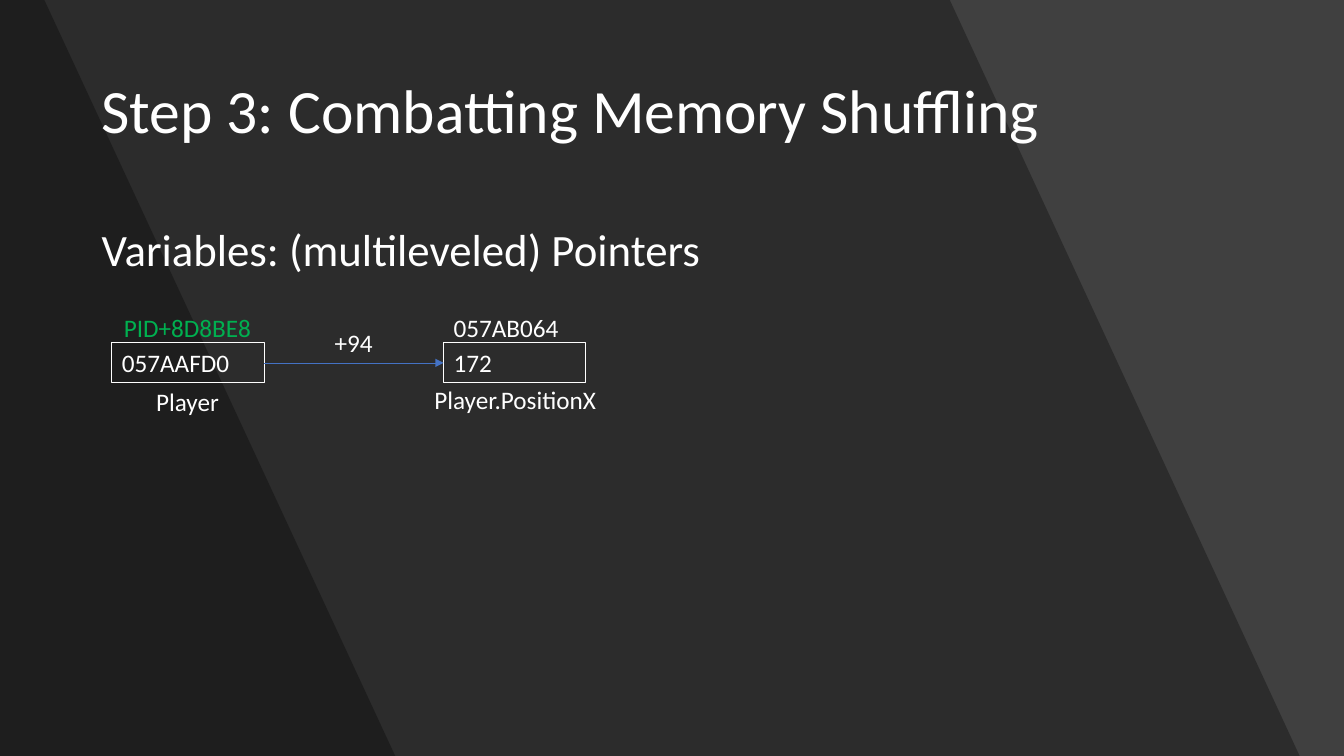
from lxml import etree
from pptx import Presentation
from pptx.dml.color import RGBColor
from pptx.enum.shapes import MSO_CONNECTOR as CONN, MSO_SHAPE as SHAPE
from pptx.enum.text import MSO_ANCHOR as ANCHOR, PP_ALIGN as ALIGN
from pptx.oxml.ns import qn
from pptx.util import Inches, Pt

COLORS = {
    "background": "404040",
    "shade": "000000",
    "text": "FFFFFF",
    "static": "00B050",
    "arrow": "4472C4",
}
FONT = "Calibri"
W, H = 13.33, 7.5


def rgb(name):
    return RGBColor.from_string(COLORS[name])


def write(shape, text, size=18, color="text", anchor=ANCHOR.TOP, wrap=True):
    """Put one left-aligned paragraph in the shape and return it."""
    tf = shape.text_frame
    tf.word_wrap = wrap
    tf.vertical_anchor = anchor
    p = tf.paragraphs[0]
    p.alignment = ALIGN.LEFT
    r = p.add_run()
    r.text = text
    r.font.size = Pt(size)
    r.font.name = FONT
    r.font.color.rgb = rgb(color)
    return p


def add_text(s, box, text, **style):
    tb = s.shapes.add_textbox(*map(Inches, box))
    return write(tb, text, **style)


def add_shade(s, top_right, bottom_right):
    """Darken the slide from its left edge to a slanted right edge."""
    corners = [(top_right, 0), (bottom_right, H), (0, H)]
    builder = s.shapes.build_freeform(0, 0)
    builder.add_line_segments([(Inches(x), Inches(y)) for x, y in corners], close=True)
    sp = builder.convert_to_shape()
    sp.shadow.inherit = False
    sp.line.fill.background()
    sp.fill.solid()
    sp.fill.fore_color.rgb = rgb("shade")
    color = sp.fill._xPr.find(qn("a:solidFill"))[0]
    etree.SubElement(color, qn("a:alpha"), val="30000")


def add_background(s):
    s.background.fill.solid()
    s.background.fill.fore_color.rgb = rgb("background")
    add_shade(s, 9.42, 12.89)
    add_shade(s, 0.44, 3.92)


def add_headings(s, left, top, width):
    title = add_text(s, (left, top, width, 1.45), "Step 3: Combatting Memory Shuffling",
                     size=44, anchor=ANCHOR.MIDDLE)
    body = add_text(s, (left, top + 1.81, width, 4.54),
                    "Variables: (multileveled) Pointers", size=32)
    title.line_spacing = body.line_spacing = 0.9
    body.space_before = Pt(10)


def add_cell(s, box, value):
    """Add an outlined memory cell."""
    sp = s.shapes.add_shape(SHAPE.RECTANGLE, *map(Inches, box))
    sp.shadow.inherit = False
    sp.fill.background()
    sp.line.color.rgb = rgb("text")
    sp.line.width = Pt(0.75)
    write(sp, value)
    return sp


def add_variable(s, box, address, value, name, name_at, address_dx=0, color="text"):
    """Add a cell with its address above and its name, offset by name_at, below."""
    left, top, width, height = box
    add_text(s, (left + address_dx, top - 0.35, 1.77, 0.71), address, color=color)
    cell = add_cell(s, box, value)
    dx, dy = name_at
    add_text(s, (left + dx, top + height + dy, 1.96, 0.71), name)
    return cell


def add_pointer(s, source, target):
    line = s.shapes.add_connector(CONN.STRAIGHT, 0, 0, 0, 0)
    line.begin_connect(source, 3)
    line.end_connect(target, 1)
    line.line.color.rgb = rgb("arrow")
    line.line.width = Pt(0.5)
    etree.SubElement(line.line._get_or_add_ln(), qn("a:tailEnd"), type="triangle")
    etree.SubElement(line._element.spPr, qn("a:effectLst"))


def add_pointer_chain(s, left, top):
    player = add_variable(s, (left, top, 1.51, 0.4), "PID+8D8BE8", "057AAFD0", "Player",
                          (0.34, -0.02), address_dx=0.02, color="static")
    position = add_variable(s, (left + 3.29, top, 1.41, 0.4), "057AB064", "172",
                            "Player.PositionX", (-0.19, -0.04))
    add_pointer(s, player, position)
    add_text(s, (left + 2.11, top - 0.2, 0.58, 0.4), "+94", wrap=False)


def main():
    prs = Presentation()
    prs.slide_width, prs.slide_height = Inches(W), Inches(H)
    s = prs.slides.add_slide(prs.slide_layouts[6])
    add_background(s)
    add_headings(s, 0.91, 0.4, 11.5)
    add_pointer_chain(s, 1.11, 3.4)
    prs.save("out.pptx")


if __name__ == "__main__":
    main()
